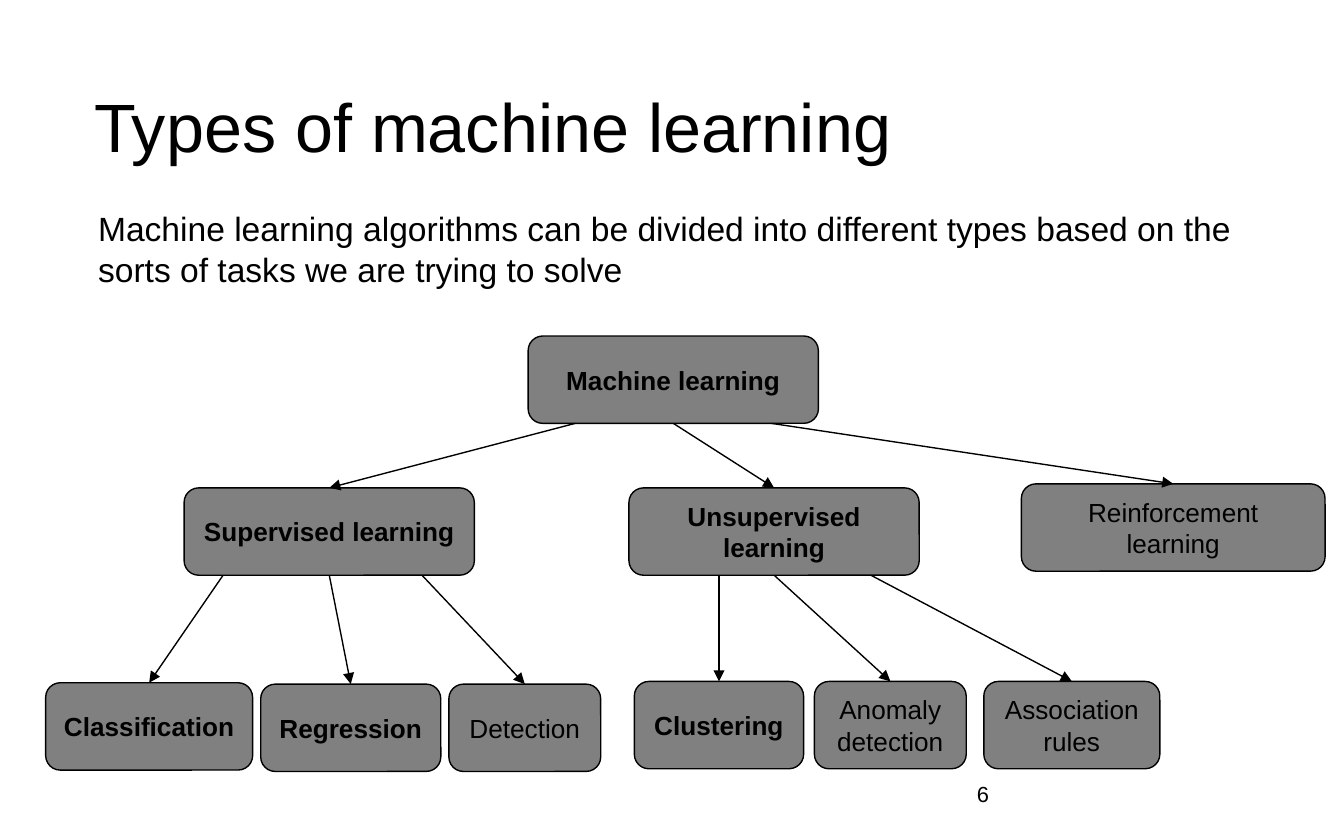
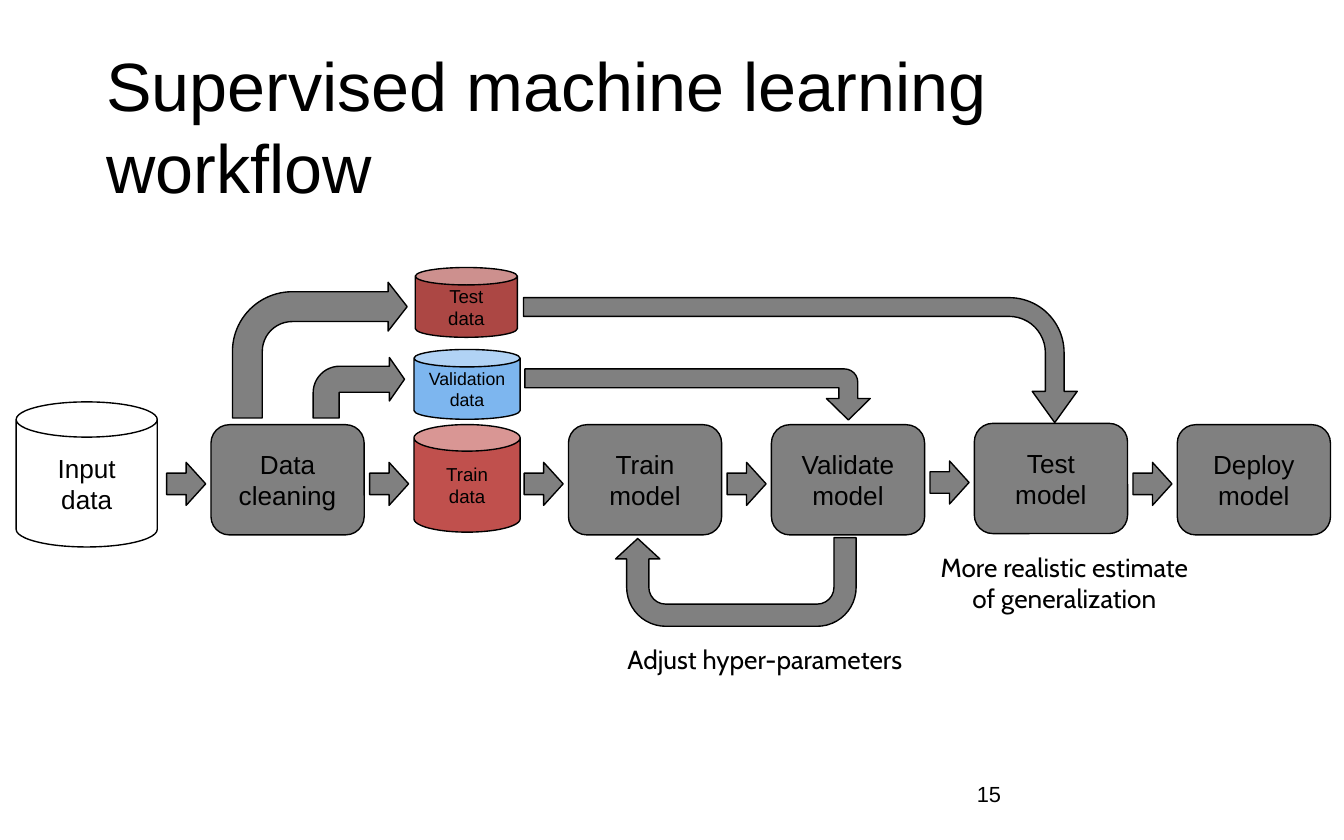
from pptx import Presentation
from pptx.dml.color import RGBColor
from pptx.enum.shapes import MSO_CONNECTOR, MSO_SHAPE
from pptx.enum.text import MSO_ANCHOR, PP_ALIGN
from pptx.oxml.ns import qn
from pptx.util import Inches, Pt
from lxml import etree

BLACK = RGBColor(0x00, 0x00, 0x00)
WHITE = RGBColor(0xFF, 0xFF, 0xFF)
GRAY = RGBColor(0x80, 0x80, 0x80)
RED = RGBColor(0xC0, 0x50, 0x4D)
DARK_RED = RGBColor(0xAC, 0x47, 0x44)
BLUE = RGBColor(0x7D, 0xB6, 0xEF)
LINE_WIDTH = Pt(0.75)
PROCESS = MSO_SHAPE.FLOWCHART_ALTERNATE_PROCESS


def set_text(shape, text, size, align=PP_ALIGN.LEFT, anchor=MSO_ANCHOR.MIDDLE,
             bold=False, font="Arial", inset=0.05):
    frame = shape.text_frame
    frame.text = text
    frame.word_wrap = True
    frame.vertical_anchor = anchor
    frame.margin_left = frame.margin_right = Inches(0.1)
    frame.margin_top = frame.margin_bottom = Inches(inset)
    paragraph = frame.paragraphs[0]
    paragraph.alignment = align
    paragraph.space_before = Pt(0)
    # Plain text without bullet or indent
    properties = paragraph._p.get_or_add_pPr()
    properties.set("marL", "0")
    properties.set("indent", "0")
    etree.SubElement(properties, qn("a:buNone"))
    paragraph.font.name = font
    paragraph.font.size = Pt(size)
    paragraph.font.bold = bold
    paragraph.font.color.rgb = BLACK


def add_box(slide, kind, place, text="", fill=GRAY, size=14, bold=False,
            adjustments=(), rotation=0):
    shape = slide.shapes.add_shape(kind, *map(Inches, place))
    shape.shadow.inherit = False
    shape.fill.solid()
    shape.fill.fore_color.rgb = fill
    shape.line.color.rgb = BLACK
    shape.line.width = LINE_WIDTH
    shape.rotation = rotation
    for index, value in enumerate(adjustments):
        shape.adjustments[index] = value
    if text:
        set_text(shape, text, size, PP_ALIGN.CENTER, bold=bold, inset=0.1)
    return shape


presentation = Presentation()
presentation.slide_width = Inches(10)
presentation.slide_height = Inches(6.25)

# Titles and page numbers
slides = []
for layout, title, title_left, number in [
    (1, "Types of machine learning", 0.6, "6"),
    (5, "Supervised machine learning workflow", 0.69, "15"),
]:
    slide = presentation.slides.add_slide(presentation.slide_layouts[layout])
    heading = slide.shapes.title
    heading.left, heading.top = Inches(title_left), Inches(0.33)
    heading.width, heading.height = Inches(8.62), Inches(1.21)
    set_text(heading, title, 36.6)
    page = slide.shapes.add_textbox(Inches(7.17), Inches(5.69), Inches(2.33), Inches(0.43))
    set_text(page, number, 11.7)
    slides.append(slide)
types_slide, workflow_slide = slides

# Slide 1: introduction
body = types_slide.placeholders[1]
body.left, body.top = Inches(0.63), Inches(1.5)
body.width, body.height = Inches(8.74), Inches(0.78)
set_text(body, "Machine learning algorithms can be divided into different types "
         "based on the sorts of tasks we are trying to solve", 18, anchor=MSO_ANCHOR.TOP)

# Slide 1: tree boxes
boxes = {}
for name, left, top, width, bold in [
    ("Machine learning", 3.93, 2.5, 2.16, True),
    ("Supervised learning", 1.37, 3.63, 2.16, True),
    ("Unsupervised learning", 4.68, 3.63, 2.16, True),
    ("Reinforcement learning", 7.6, 3.6, 2.26, False),
    ("Classification", 0.34, 5.08, 1.54, True),
    ("Regression", 1.94, 5.09, 1.34, True),
    ("Detection", 3.34, 5.09, 1.13, False),
    ("Clustering", 4.72, 5.07, 1.26, True),
    ("Anomaly detection", 6.06, 5.07, 1.13, False),
    ("Association rules", 7.32, 5.07, 1.31, False),
]:
    boxes[name] = add_box(types_slide, PROCESS, (left, top, width, 0.65), name, bold=bold)

# Slide 1: arrows; without a start they leave the middle of the parent's bottom side
for parent, child, start in [
    ("Machine learning", "Supervised learning", 4.28),
    ("Machine learning", "Unsupervised learning", None),
    ("Machine learning", "Reinforcement learning", 5.74),
    ("Supervised learning", "Classification", 1.66),
    ("Supervised learning", "Regression", None),
    ("Supervised learning", "Detection", 3.14),
    ("Unsupervised learning", "Clustering", 5.35),
    ("Unsupervised learning", "Anomaly detection", None),
    ("Unsupervised learning", "Association rules", 6.48),
]:
    source, target = boxes[parent], boxes[child]
    arrow = types_slide.shapes.add_connector(
        MSO_CONNECTOR.STRAIGHT, Inches(start or 0), source.top + source.height,
        target.left, target.top)
    if start is None:
        arrow.begin_connect(source, 2)
    arrow.end_connect(target, 0)
    arrow.line.color.rgb = BLACK
    arrow.line.width = LINE_WIDTH
    etree.SubElement(arrow.line._get_or_add_ln(), qn("a:tailEnd"), type="triangle")
    etree.SubElement(arrow._element.spPr, qn("a:effectLst"))

# Slide 2: data stores
for text, place, fill, size in [
    ("Input\vdata", (0.12, 2.99, 1.05, 1.08), WHITE, 14),
    ("Test\vdata", (3.09, 1.99, 0.76, 0.52), DARK_RED, 10),
    ("Validation data", (3.08, 2.6, 0.79, 0.52), BLUE, 9.5),
    ("Train data", (3.08, 3.16, 0.79, 0.8), RED, 10),
]:
    add_box(workflow_slide, MSO_SHAPE.CAN, place, text, fill, size, adjustments=[0.25])

# Slide 2: process steps, each with an arrow leading in
for text, left, top in [
    ("Data cleaning", 1.57, 3.16),
    ("Train model", 4.23, 3.16),
    ("Validate model", 5.74, 3.16),
    ("Test model", 7.25, 3.15),
    ("Deploy model", 8.76, 3.16),
]:
    add_box(workflow_slide, PROCESS, (left, top, 1.14, 0.82), text)
    add_box(workflow_slide, MSO_SHAPE.RIGHT_ARROW, (left - 0.33, top + 0.28, 0.29, 0.32))
add_box(workflow_slide, MSO_SHAPE.RIGHT_ARROW, (2.75, 3.44, 0.29, 0.32))

# Slide 2: bent arrows for the data splits and the tuning loop
for kind, place, adjustments, rotation in [
    (MSO_SHAPE.BENT_ARROW, (2.33, 2.66, 0.68, 0.45), (0.43, 0.36, 0.25, 0.44), 0),
    (MSO_SHAPE.BENT_ARROW, (1.73, 2.1, 1.3, 1.01), (0.22, 0.18, 0.14, 0.44), 0),
    (MSO_SHAPE.BENT_ARROW, (5, 1.65, 0.38, 2.57), (0.37, 0.43, 0.42, 0.26), 90),
    (MSO_SHAPE.BENT_ARROW, (5.49, 0.62, 0.93, 4.12), (0.15, 0.18, 0.25, 0.44), 90),
    (MSO_SHAPE.U_TURN_ARROW, (4.58, 4, 1.79, 0.66), (0.25, 0.25, 0.23, 0.44, 0.99), 180),
]:
    add_box(workflow_slide, kind, place, adjustments=adjustments, rotation=rotation)

# Slide 2: remarks
for text, place, align in [
    ("Adjust hyper-parameters", (4.57, 4.69, 2.28, 0.35), PP_ALIGN.LEFT),
    ("More realistic estimate of generalization", (6.88, 4, 2.08, 0.61), PP_ALIGN.CENTER),
]:
    remark = workflow_slide.shapes.add_textbox(*map(Inches, place))
    set_text(remark, text, 14, align, MSO_ANCHOR.TOP, font="Cabin", inset=0.1)

presentation.save("out.pptx")
